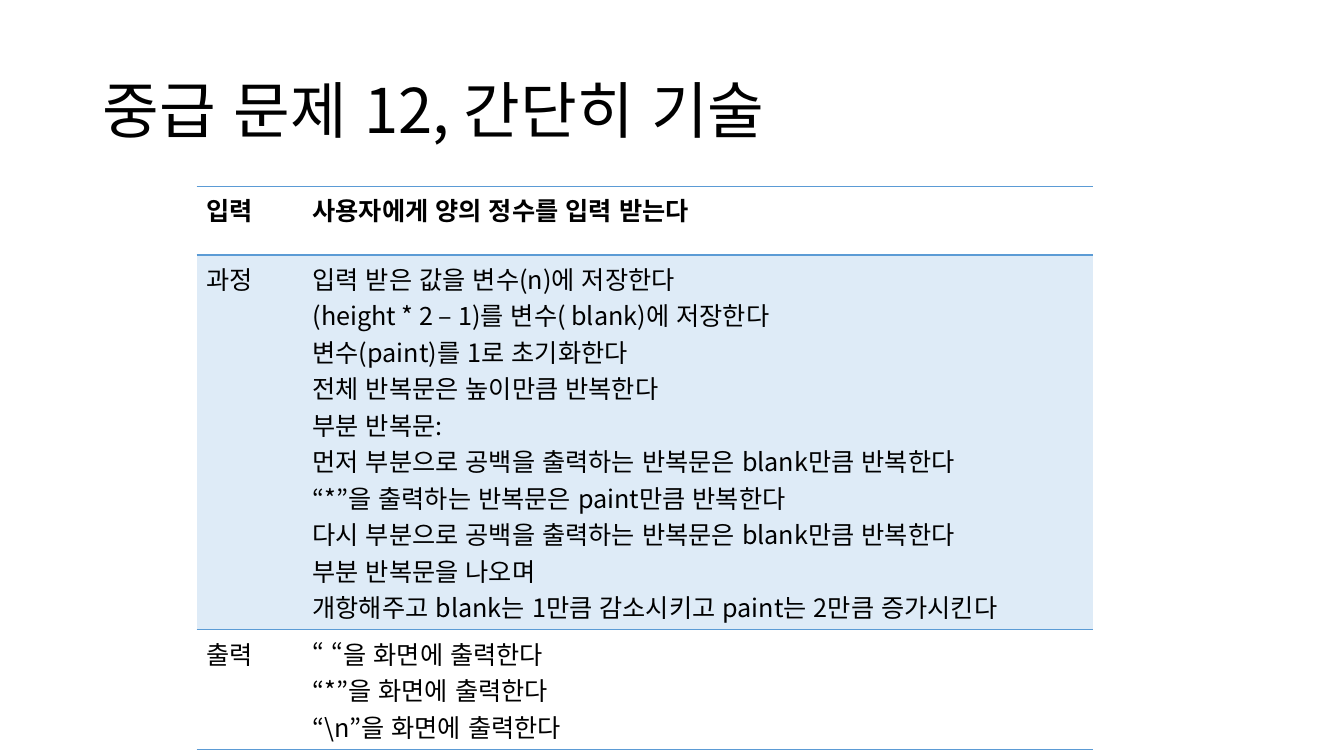
import pptx
import pptx.util
import pptx.dml.color
import pptx.enum.text
import pptx.oxml
import pptx.oxml.ns
from pptx.util import Inches

FONT = "Noto Sans CJK KR"
BLACK, BLUE, PALE = "000000", "5B9BD5", "DEEBF7"
NO_STYLE = "{2D5ABB26-0587-4C30-8999-92F81FD0307C}"
TITLE = "중급 문제 12, 간단히 기술"
ROWS = [
    ("입력", ["사용자에게 양의 정수를 입력 받는다"]),
    ("과정", [
        "입력 받은 값을 변수(n)에 저장한다",
        "(height * 2 – 1)를 변수( blank)에 저장한다",
        "변수(paint)를 1로 초기화한다",
        "전체 반복문은 높이만큼 반복한다",
        "부분 반복문:",
        "먼저 부분으로 공백을 출력하는 반복문은 blank만큼 반복한다",
        "“*”을 출력하는 반복문은 paint만큼 반복한다",
        "다시 부분으로 공백을 출력하는 반복문은 blank만큼 반복한다",
        "부분 반복문을 나오며",
        "개항해주고 blank는 1만큼 감소시키고 paint는 2만큼 증가시킨다",
    ]),
    ("출력", [
        "“ “을 화면에 출력한다",
        "“*”을 화면에 출력한다",
        "“\\n”을 화면에 출력한다",
    ]),
]
COL_WIDTHS = [1.05, 7.84]
ROW_HEIGHT = 0.68
ROW_FILLS = [None, PALE, None]
ROW_BORDERS = [("lnT", "lnB"), ("lnT",), ("lnB",)]


def color(value):
    return pptx.dml.color.RGBColor.from_string(value)


def style_runs(p, size, bold=False):
    for r in p.runs:
        r.font.size = pptx.util.Pt(size)
        r.font.bold = bold
        r.font.name = FONT
        r.font.color.rgb = color(BLACK)
        rpr = r.font.fill._xPr
        rpr.set("lang", "ko-KR")
        latin = rpr.find(pptx.oxml.ns.qn("a:latin"))
        latin.addnext(pptx.oxml.parse_xml(
            f'<a:ea {pptx.oxml.ns.nsdecls("a")} typeface="{FONT}"/>'))


def add_borders(cell, sides):
    tcpr = cell._tc.get_or_add_tcPr()
    for i, side in enumerate(sides):
        tcpr.insert(i, pptx.oxml.parse_xml(
            f'<a:{side} {pptx.oxml.ns.nsdecls("a")} w="12700"><a:solidFill>'
            f'<a:srgbClr val="{BLUE}"/></a:solidFill></a:{side}>'))


def add_title(s):
    title = s.shapes.title
    title.left, title.top = Inches(0.92), Inches(0.4)
    title.width, title.height = Inches(11.5), Inches(1.45)
    tf = title.text_frame
    tf.text = TITLE
    tf.vertical_anchor = pptx.enum.text.MSO_ANCHOR.MIDDLE
    p = tf.paragraphs[0]
    p.alignment = pptx.enum.text.PP_ALIGN.LEFT
    p.line_spacing = 0.9
    style_runs(p, 44)


def add_steps(s):
    frame = s.shapes.add_table(
        len(ROWS), len(COL_WIDTHS), Inches(1.95), Inches(1.85),
        Inches(sum(COL_WIDTHS)), Inches(ROW_HEIGHT * len(ROWS)))
    table = frame.table
    table.horz_banding = False
    table._tbl.tblPr.find(pptx.oxml.ns.qn("a:tableStyleId")).text = NO_STYLE
    for column, width in zip(table.columns, COL_WIDTHS):
        column.width = Inches(width)
    for i, (label, lines) in enumerate(ROWS):
        table.rows[i].height = Inches(ROW_HEIGHT)
        for j, text in enumerate([label, "\n".join(lines)]):
            cell = table.cell(i, j)
            cell.text_frame.text = text
            for p in cell.text_frame.paragraphs:
                style_runs(p, 18, bold=i == 0)
            if ROW_FILLS[i]:
                cell.fill.solid()
                cell.fill.fore_color.rgb = color(ROW_FILLS[i])
            else:
                cell.fill.background()
            add_borders(cell, ROW_BORDERS[i])


def main():
    prs = pptx.Presentation()
    prs.slide_width, prs.slide_height = Inches(13.33), Inches(7.5)
    s = prs.slides.add_slide(prs.slide_layouts[5])
    add_title(s)
    add_steps(s)
    prs.save("out.pptx")


if __name__ == "__main__":
    main()
